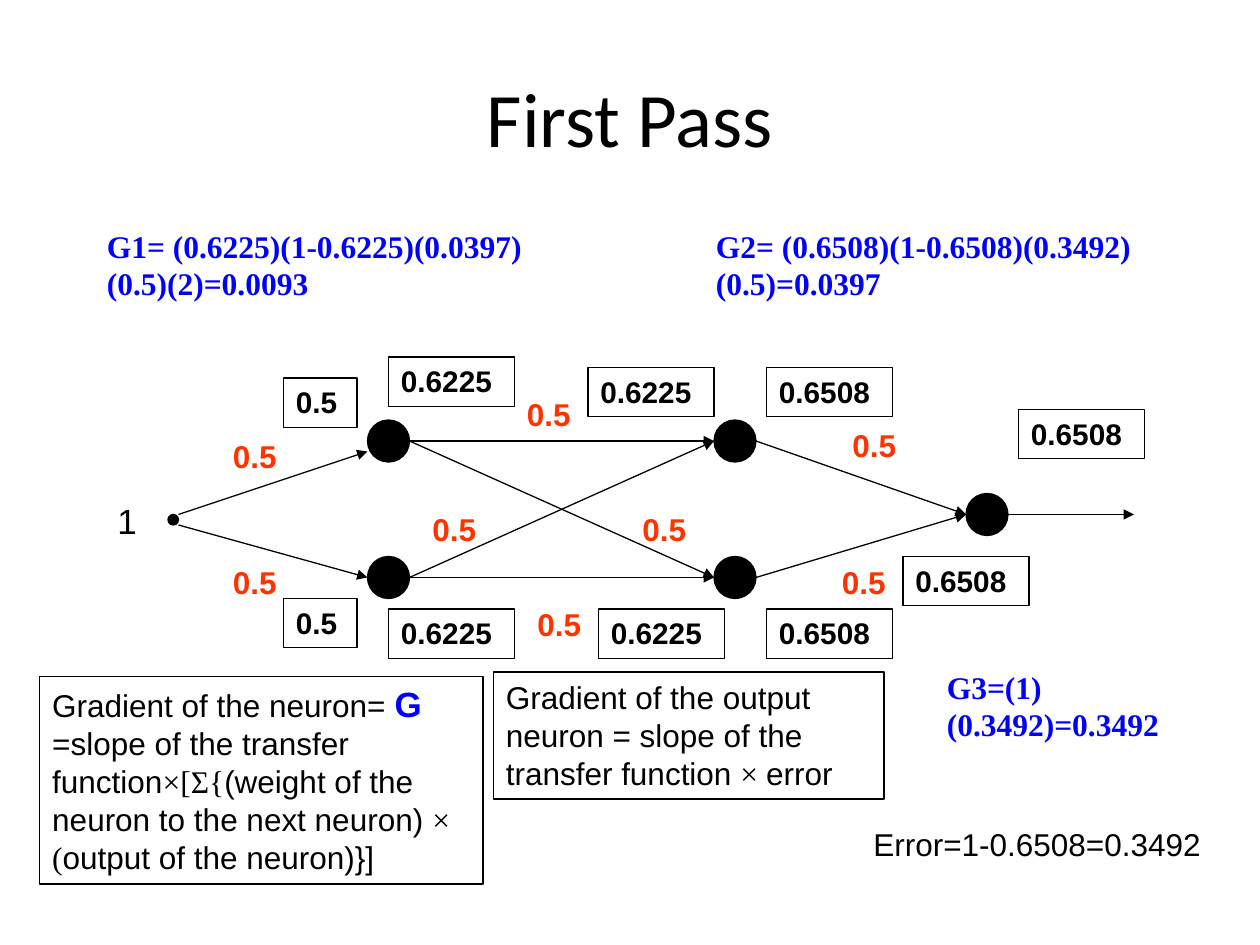
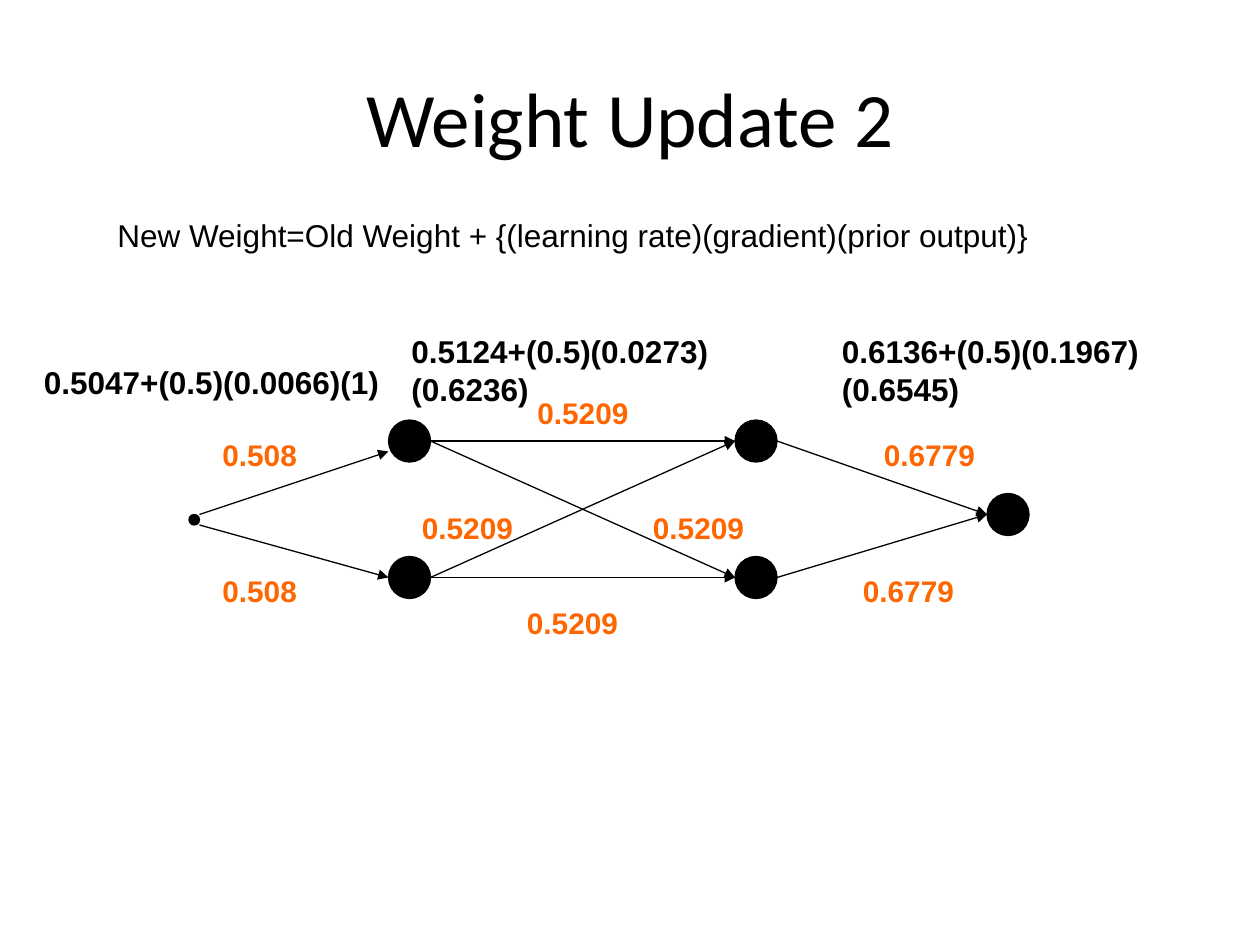
from dataclasses import dataclass, replace
from typing import NamedTuple

from lxml import etree
from pptx import Presentation
from pptx.dml.color import RGBColor
from pptx.enum import shapes, text
from pptx.oxml import ns
from pptx.util import Emu, Pt

PX = 7620


@dataclass(frozen=True)
class Theme:
    black: str = "000000"
    blue: str = "0000FF"
    red: str = "FF3300"
    orange: str = "FF6600"
    sans: str = "Arial"
    serif: str = "Times New Roman"
    heading: str = "Calibri"
    title: int = 44
    large: int = 20
    body: int = 18
    value: int = 17
    line: float = 0.75


T = Theme()


class Box(NamedTuple):
    x: int
    y: int
    w: int
    h: int


class Point(NamedTuple):
    x: int
    y: int


@dataclass(frozen=True)
class Run:
    text: str
    size: int = T.body
    color: str = T.black
    font: str = T.sans
    bold: bool = False


@dataclass(frozen=True)
class Labels:
    text: str
    w: int
    h: int
    spots: tuple[tuple[int, int], ...]


def emu(*lengths: int) -> list[Emu]:
    return [Emu(n * PX) for n in lengths]


def rgb(color: str) -> RGBColor:
    return RGBColor.from_string(color)


def format_run(r, run: Run) -> None:
    r.text = run.text
    r.font.size = Pt(run.size)
    r.font.name = run.font
    r.font.bold = run.bold
    r.font.color.rgb = rgb(run.color)


def add_text(s, box: Box, *runs: str | Run, border: bool = False,
             wrap: bool = True, **style) -> None:
    sp = s.shapes.add_textbox(*emu(*box))
    tf = sp.text_frame
    tf.word_wrap = wrap
    tf.auto_size = text.MSO_AUTO_SIZE.SHAPE_TO_FIT_TEXT
    if border:
        sp.line.color.rgb = rgb(T.black)
        sp.line.width = Pt(T.line)
    p = tf.paragraphs[0]
    for run in runs:
        format_run(p.add_run(), run if isinstance(run, Run) else Run(run, **style))


def add_labels(s, groups: tuple[Labels, ...], **style) -> None:
    for group in groups:
        for x, y in group.spots:
            add_text(s, Box(x, y, group.w, group.h), group.text, bold=True, **style)


def add_node(s, center: Point, size: int) -> None:
    box = Box(center.x - size // 2, center.y - size // 2, size, size)
    sp = s.shapes.add_shape(shapes.MSO_SHAPE.OVAL, *emu(*box))
    sp.shadow.inherit = False
    sp.fill.solid()
    sp.fill.fore_color.rgb = rgb(T.black)
    sp.line.color.rgb = rgb(T.black)
    sp.line.width = Pt(T.line)


def add_arrow(s, start: Point, end: Point) -> None:
    sp = s.shapes.add_connector(shapes.MSO_CONNECTOR.STRAIGHT, *emu(*start, *end))
    sp.line.color.rgb = rgb(T.black)
    sp.line.width = Pt(T.line)
    ln = sp.line._get_or_add_ln()
    etree.SubElement(ln, ns.qn("a:tailEnd"), type="triangle")
    etree.SubElement(sp._element.spPr, ns.qn("a:effectLst"))


def add_network(s, left: int) -> None:
    node, dot = 40, 10
    half = node // 2
    source = Point(left + 5, 495)
    first = [Point(left + 210, y) for y in (420, 550)]
    second = [Point(left + 540, y) for y in (420, 550)]
    output = Point(left + 780, 490)

    for center in (*first, *second, output):
        add_node(s, center, node)
    add_node(s, source, dot)

    for start_y, end_y in ((490, 430), (500, 550)):
        add_arrow(s, Point(left + dot, start_y), Point(left + 190, end_y))
    links = [(a, b) for a in first for b in second] + [(b, output) for b in second]
    for a, b in links:
        add_arrow(s, Point(a.x + half, a.y), Point(b.x - half, b.y))


def add_slide(prs, title: str, network_left: int):
    s = prs.slides.add_slide(prs.slide_layouts[5])
    sp = s.shapes.title
    sp.left, sp.top, sp.width, sp.height = emu(60, 36, 1080, 150)
    tf = sp.text_frame
    tf.vertical_anchor = text.MSO_ANCHOR.MIDDLE
    p = tf.paragraphs[0]
    p.alignment = text.PP_ALIGN.CENTER
    format_run(p.add_run(), Run(title, size=T.title, font=T.heading))
    add_network(s, network_left)
    return s


def first_pass(prs) -> None:
    s = add_slide(prs, "First Pass", 160)
    weights = Labels("0.5", 70, 50, (
        (210, 410), (400, 480), (800, 400), (790, 530),
        (210, 530), (500, 570), (490, 370), (600, 480)))
    outputs = (
        Labels("0.5", 70, 47, ((270, 360), (270, 570))),
        Labels("0.6225", 120, 47, ((570, 580), (560, 350), (370, 340), (370, 580))),
        Labels("0.6508", 120, 47, ((860, 530), (730, 350), (730, 580), (970, 390))),
    )
    add_labels(s, (weights,), color=T.red)
    add_text(s, Box(100, 470, 42, 53), "1", size=T.large)
    add_labels(s, outputs, size=T.value, border=True)
    add_arrow(s, Point(960, 490), Point(1080, 490))
    add_text(s, Box(820, 780, 350, 48), "Error=1-0.6508=0.3492")

    gradients = (
        (Box(890, 630, 290, 139), "G3=(1)(0.3492)=0.3492"),
        (Box(670, 210, 470, 139), "G2= (0.6508)(1-0.6508)(0.3492)(0.5)=0.0397"),
        (Box(90, 210, 470, 139), "G1= (0.6225)(1-0.6225)(0.0397)(0.5)(2)=0.0093"),
    )
    for box, formula in gradients:
        add_text(s, box, formula, color=T.blue, font=T.serif, bold=True)

    symbol = Run("× ", font=T.serif)
    add_text(s, Box(38, 644, 422, 198),
             "Gradient of the neuron= ",
             Run("G", size=T.large, color=T.blue, bold=True),
             " =slope of the transfer function",
             replace(symbol, text="×[Σ{"),
             "(weight of the neuron to the next neuron) ",
             replace(symbol, text="× ("),
             "output of the neuron)}]", border=True)
    add_text(s, Box(470, 640, 372, 121),
             "Gradient of the output neuron = slope of the transfer function ",
             symbol, "error", border=True)


def weight_update(prs) -> None:
    s = add_slide(prs, "Weight Update 2", 180)
    add_text(s, Box(100, 200, 900, 48),
             "New Weight=Old Weight + {(learning rate)(gradient)(prior output)}",
             wrap=False)
    weights = (
        Labels("0.6779", 140, 47, ((830, 410), (810, 540))),
        Labels("0.5209", 140, 47, ((390, 480), (610, 480), (490, 570), (500, 370))),
        Labels("0.508", 140, 47, ((200, 540), (200, 410))),
    )
    add_labels(s, weights, size=T.value, color=T.orange)
    updates = (
        (Box(790, 310, 380, 85), "0.6136+(0.5)(0.1967)(0.6545)"),
        (Box(380, 310, 380, 85), "0.5124+(0.5)(0.0273)(0.6236)"),
        (Box(30, 340, 350, 48), "0.5047+(0.5)(0.0066)(1)"),
    )
    for box, formula in updates:
        add_text(s, box, formula, bold=True)


def main() -> None:
    prs = Presentation()
    prs.slide_width, prs.slide_height = emu(1200, 900)
    first_pass(prs)
    weight_update(prs)
    prs.save("out.pptx")


if __name__ == "__main__":
    main()
